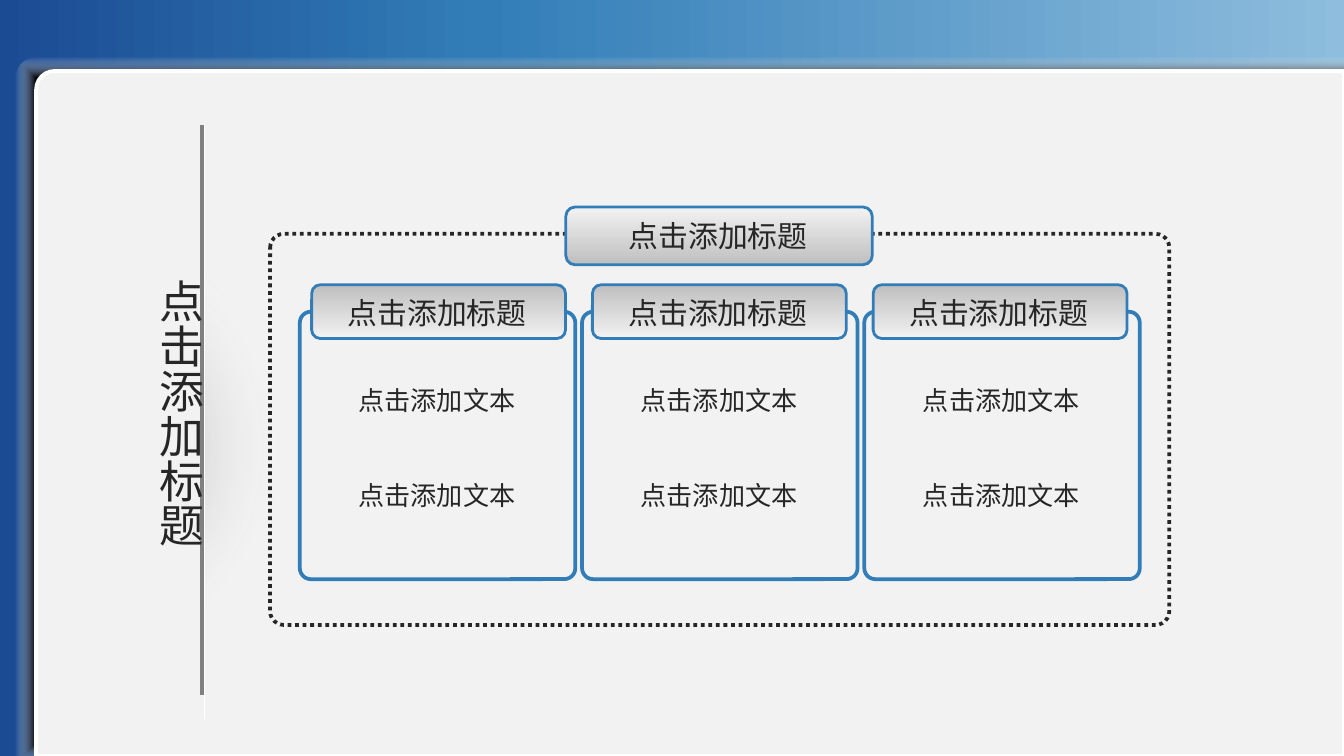
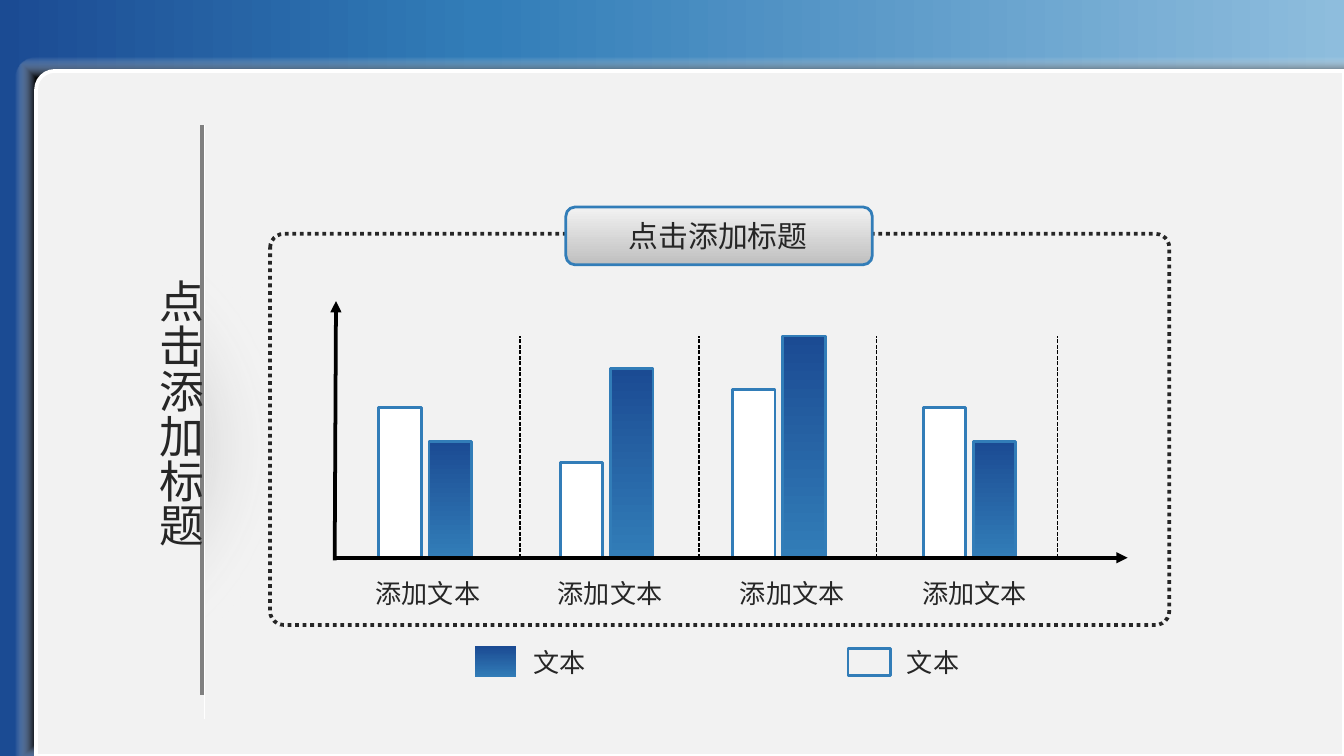
import dataclasses
import typing

import lxml.etree
import pptx
import pptx.dml.color
import pptx.enum.dml
import pptx.enum.shapes
import pptx.enum.text
import pptx.oxml.ns
import pptx.util

RGB = pptx.dml.color.RGBColor
NAVY = RGB(0x1B, 0x4B, 0x93)
BLUE = RGB(0x32, 0x7D, 0xB8)
SKY = RGB(0x8E, 0xBD, 0xDD)
BLACK = RGB(0x00, 0x00, 0x00)
INK = RGB(0x26, 0x26, 0x26)
GREY = RGB(0x80, 0x80, 0x80)
SILVER = RGB(0xBF, 0xBF, 0xBF)
PALE = RGB(0xF2, 0xF2, 0xF2)
WHITE = RGB(0xFF, 0xFF, 0xFF)

SANS = "Noto Sans CJK SC"
TALL = "Noto Sans CJK JP"
LATIN = "Calibri"

KIND = pptx.enum.shapes.MSO_SHAPE
DASH = pptx.enum.dml.MSO_LINE
WIDE, HIGH = 720, 405


class Box(typing.NamedTuple):
    left: float
    top: float
    width: float
    height: float

    def emu(self) -> list[int]:
        return [pptx.util.Pt(side) for side in self]


class Stop(typing.NamedTuple):
    place: int
    color: RGB
    clear: bool = False


@dataclasses.dataclass(frozen=True)
class Blend:
    stops: tuple[Stop, ...]
    angle: int = 0
    focus: str = ""  # "shape" or "circle" for a blend from the centre


@dataclasses.dataclass(frozen=True)
class Edge:
    color: RGB
    width: float
    dash: typing.Any = None
    arrow: str = ""


@dataclasses.dataclass(frozen=True)
class Pair:
    """Two bars side by side, with the divider to their right."""
    left: float
    open: float
    solid: float
    split: float


RIM = Edge(BLUE, 1.5)
DEEP = Blend((Stop(0, NAVY), Stop(100, BLUE)), 90)
LIGHT = Blend((Stop(0, PALE), Stop(100, SILVER)), 90)
SHADE = Blend((Stop(0, SILVER), Stop(100, PALE)), 90)
BAND = Blend((Stop(0, NAVY), Stop(36, BLUE), Stop(100, SKY)))
HALO = Blend((Stop(94, BLACK), Stop(100, WHITE, True)), focus="shape")
GLOW = Blend((Stop(7, GREY), Stop(49, WHITE, True)), focus="circle")

PAIRS = (
    Pair(203, 80.6, 62.3, 278.6),
    Pair(300.2, 51.1, 101.5, 374.4),
    Pair(392.4, 90, 118.8, 469.4),
    Pair(494.6, 80.6, 62.3, 566.6),
)


# Formats
def add(parent: typing.Any, tag: str, **values: typing.Any) -> typing.Any:
    node = lxml.etree.SubElement(parent, pptx.oxml.ns.qn(f"a:{tag}"))
    for key, value in values.items():
        node.set(key, str(value))
    return node


def apply(target: typing.Any, form: dict[str, typing.Any]) -> None:
    for key, value in form.items():
        setattr(target, key, value)


def shade(shape: typing.Any, blend: Blend) -> None:
    shape.fill.gradient()
    grad = shape.element.spPr.find(pptx.oxml.ns.qn("a:gradFill"))
    grad.clear()
    grad.set("rotWithShape", "1")
    stops = add(grad, "gsLst")
    for stop in blend.stops:
        color = add(add(stops, "gs", pos=stop.place * 1000), "srgbClr", val=stop.color)
        if stop.clear:
            add(color, "alpha", val=0)
    if blend.focus:
        ray = add(grad, "path", path=blend.focus)
        add(ray, "fillToRect", l=50000, t=50000, r=50000, b=50000)
    else:
        add(grad, "lin", ang=blend.angle * 60000, scaled=0)


def trace(line: typing.Any, edge: Edge) -> None:
    line.color.rgb = edge.color
    apply(line, {"width": pptx.util.Pt(edge.width), "dash_style": edge.dash})


def paint(shape: typing.Any, fill: RGB | Blend | None, edge: Edge | None) -> None:
    shape.shadow.inherit = False
    if isinstance(fill, Blend):
        shade(shape, fill)
    elif fill is None:
        shape.fill.background()
    else:
        shape.fill.solid()
        shape.fill.fore_color.rgb = fill
    if edge:
        trace(shape.line, edge)
    else:
        shape.line.fill.background()


# Basic parts
def block(slide: typing.Any, kind: typing.Any, box: Box, fill: RGB | Blend | None = None,
          edge: Edge | None = None, bend: float | None = None) -> typing.Any:
    shape = slide.shapes.add_shape(kind, *box.emu())
    if bend is not None:
        shape.adjustments[0] = bend
    paint(shape, fill, edge)
    return shape


def stroke(slide: typing.Any, start: tuple[float, float], end: tuple[float, float],
           edge: Edge) -> None:
    ends = [pptx.util.Pt(value) for value in (*start, *end)]
    line = slide.shapes.add_connector(pptx.enum.shapes.MSO_CONNECTOR.STRAIGHT, *ends)
    trace(line.line, edge)
    props = line.element.spPr
    if edge.arrow:
        add(props.find(pptx.oxml.ns.qn("a:ln")), edge.arrow, type="triangle")
    add(props, "effectLst")


def write(slide: typing.Any, words: str, box: Box, size: float, face: str = SANS,
          wrap: bool = False, down: bool = False) -> None:
    frame = slide.shapes.add_textbox(*box.emu()).text_frame
    apply(frame, {"word_wrap": wrap,
                  "auto_size": pptx.enum.text.MSO_AUTO_SIZE.SHAPE_TO_FIT_TEXT})
    if down:
        frame.paragraphs[0]
        frame._txBody.bodyPr.set("vert", "eaVert")
    para = frame.paragraphs[0]
    if wrap:
        para.alignment = pptx.enum.text.PP_ALIGN.CENTER
    run = para.add_run()
    run.text = words
    run.font.color.rgb = INK
    apply(run.font, {"size": pptx.util.Pt(size), "name": face})
    add(run.font._element, "ea", typeface=face)


# Shared parts
def glow(slide: typing.Any) -> None:
    """Soft shade beside the title rule, drawn a quarter turn round its centre."""
    mid_x, mid_y = 24.85, 239.4
    top, low = 4.3, 474.5
    right = ((92.2, low), (92.2, 470.2), (109.4, 470.2), (109.4, 78.5),
             (92.2, 78.5), (92.2, top), (154.8, top), (154.8, low))
    left = ((-105.1, low), (-105.1, top), (-74.9, top), (-74.9, low))
    turned = [[(pptx.util.Pt(mid_x + mid_y - y), pptx.util.Pt(mid_y + x - mid_x))
               for x, y in ring] for ring in (right, left)]
    pen = slide.shapes.build_freeform(*turned[0][0], scale=1.0)
    pen.add_line_segments(turned[0][1:], close=True)
    pen.move_to(*turned[1][0])
    pen.add_line_segments(turned[1][1:], close=True)
    shape = pen.convert_to_shape()
    shape.rotation = 270
    paint(shape, GLOW, None)


def base(deck: typing.Any) -> typing.Any:
    slide = deck.slides.add_slide(deck.slide_layouts[6])
    block(slide, KIND.RECTANGLE, Box(0, 0, WIDE, HIGH), BAND)
    halo = block(slide, KIND.ROUND_1_RECTANGLE, Box(8.6, 31, 720, 378), HALO, bend=0.032)
    sheet = block(slide, KIND.ROUND_1_RECTANGLE, Box(19.4, 38, 700.6, 367), PALE,
                  Edge(WHITE, 2), 0.027)
    for shape in (halo, sheet):
        shape.element.spPr.xfrm.set("flipH", "1")
    glow(slide)
    stroke(slide, (108.5, 67), (108.5, 372.2), Edge(GREY, 3))
    stroke(slide, (109.6, 385.2), (109.6, 67), Edge(WHITE, 1))
    write(slide, "点击添加标题", Box(70.6, 142.6, 43.9, 152.6), 24, TALL, down=True)
    return slide


def topic(slide: typing.Any) -> None:
    block(slide, KIND.ROUNDED_RECTANGLE, Box(144.7, 125.3, 481.7, 209.5),
          edge=Edge(INK, 2, DASH.ROUND_DOT), bend=0.035)
    block(slide, KIND.ROUNDED_RECTANGLE, Box(303.1, 110.9, 164.2, 31), LIGHT, RIM, 0.162)
    write(slide, "点击添加标题", Box(329.8, 113, 111.6, 26.6), 16)


# Slide 1: three cards
def cards(deck: typing.Any) -> None:
    slide = base(deck)
    topic(slide)
    for col in range(3):
        left = 160.6 + 151.2 * col
        block(slide, KIND.ROUNDED_RECTANGLE, Box(left, 167, 147.6, 143.3),
              edge=Edge(BLUE, 2), bend=0.041)
        for top in (202.3, 253.4):
            write(slide, "点击添加文本", Box(left + 24.3, top, 99.4, 24.5), 14)
    for col in range(3):
        left = 167 + 150.4 * col
        block(slide, KIND.ROUNDED_RECTANGLE, Box(left, 152.6, 136, 28.8), SHADE, RIM, 0.162)
        write(slide, "点击添加标题", Box(left + 12.3, 154.1, 111.6, 26.6), 16)


# Slide 2: paired bars on drawn axes
def bars(deck: typing.Any) -> None:
    slide = base(deck)
    floor, width = 298.8, 22.8
    for pair in PAIRS:
        stroke(slide, (pair.split, floor), (pair.split, 180),
               Edge(BLACK, 0.75, DASH.SQUARE_DOT))
    stroke(slide, (180, 161.3), (179.3, 300.2), Edge(BLACK, 2, arrow="headEnd"))
    for col, pair in enumerate(PAIRS):
        write(slide, "添加文本", Box(192.2 + 97.6 * col, 306, 74.2, 23.8), 14, LATIN, wrap=True)
        for left, high, fill in ((pair.left, pair.open, WHITE),
                                 (pair.left + 26.9, pair.solid, DEEP)):
            block(slide, KIND.RECTANGLE, Box(left, floor - high, width, high), fill, RIM)
    stroke(slide, (178.6, floor), (604.1, floor), Edge(BLACK, 2, arrow="tailEnd"))

    # Legend
    block(slide, KIND.RECTANGLE, Box(254.2, 346.3, 22.3, 16.6), DEEP)
    block(slide, KIND.RECTANGLE, Box(454.3, 347.4, 23, 14.4), edge=RIM)
    for left in (278.6, 478.8):
        write(slide, "文本", Box(left, 342.7, 42.5, 24.5), 14)
    topic(slide)


def main() -> None:
    deck = pptx.Presentation()
    apply(deck, {"slide_width": pptx.util.Pt(WIDE), "slide_height": pptx.util.Pt(HIGH)})
    cards(deck)
    bars(deck)
    deck.save("out.pptx")


if __name__ == "__main__":
    main()
